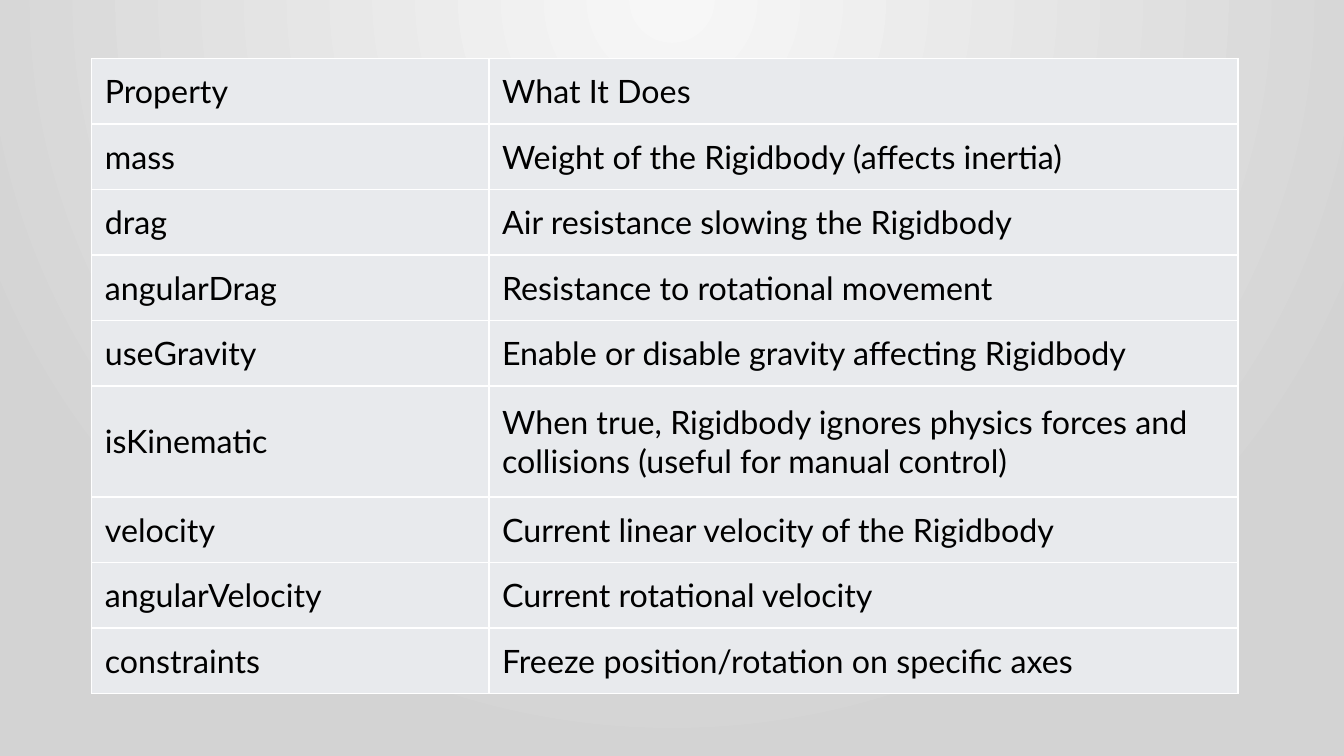
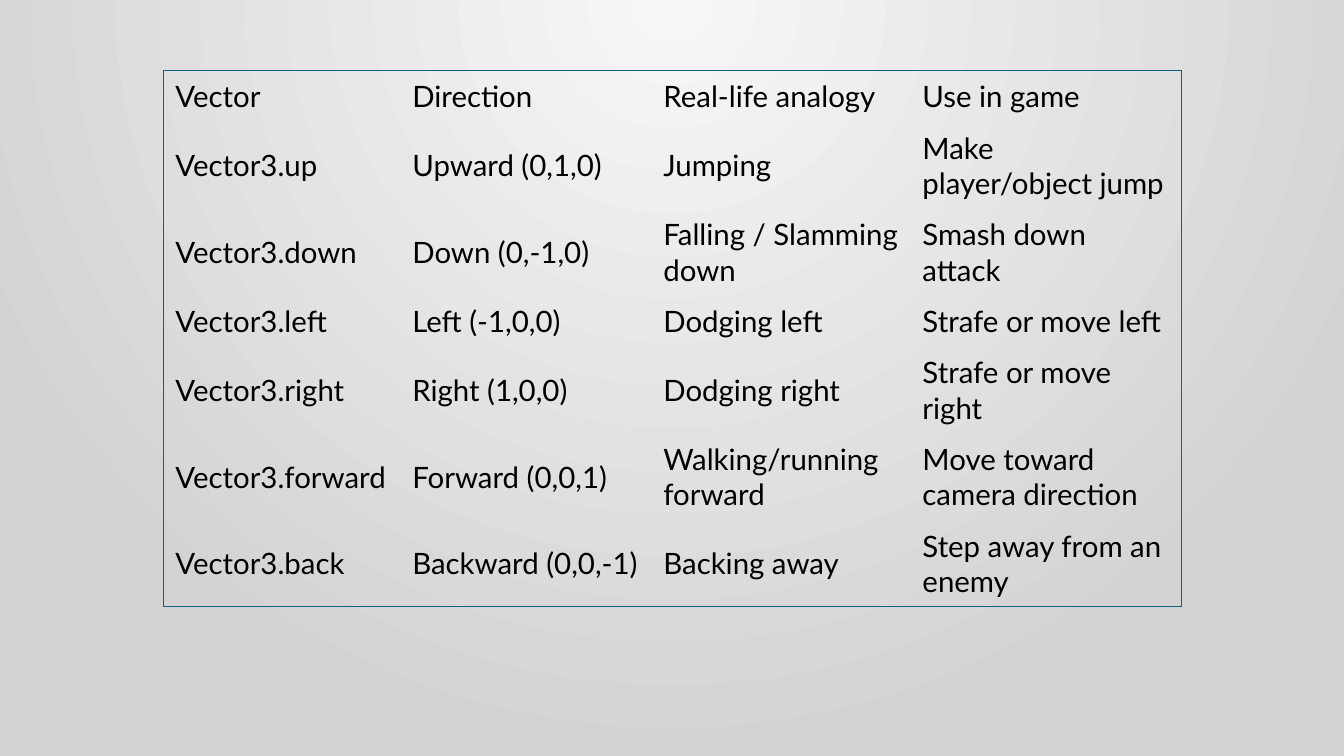
from dataclasses import dataclass

import lxml.etree
import pptx
import pptx.dml.color
import pptx.enum.text
import pptx.oxml.ns
import pptx.presentation
import pptx.slide
import pptx.table
import pptx.util

Inches = pptx.util.Inches
Pt = pptx.util.Pt
qn = pptx.oxml.ns.qn


@dataclass(frozen=True)
class Theme:
    font: str = "Lato"
    text: str = "000000"
    glow: str = "F7F7F7"
    edge: str = "D3D3D3"
    cell: str = "E8EAED"
    grid: str = "FFFFFF"
    frame: str = "156082"
    property_size: float = 23
    vector_size: float = 21
    line_width: float = 1


THEME = Theme()


@dataclass(frozen=True)
class TableSpec:
    left: float
    top: float
    columns: tuple[float, ...]
    heights: tuple[float, ...]
    rows: tuple[tuple[str, ...], ...]
    size: float
    side_margin: float
    border: str
    inner_lines: bool
    fill: str | None = None


PROPERTIES = TableSpec(
    left=0.91, top=0.58, columns=(3.94, 7.43),
    heights=(0.65,) * 5 + (1.1,) + (0.65,) * 3,
    rows=(
        ("Property", "What It Does"),
        ("mass", "Weight of the Rigidbody (affects inertia)"),
        ("drag", "Air resistance slowing the Rigidbody"),
        ("angularDrag", "Resistance to rotational movement"),
        ("useGravity", "Enable or disable gravity affecting Rigidbody"),
        ("isKinematic", "When true, Rigidbody ignores physics forces and "
                        "collisions (useful for manual control)"),
        ("velocity", "Current linear velocity of the Rigidbody"),
        ("angularVelocity", "Current rotational velocity"),
        ("constraints", "Freeze position/rotation on specific axes"),
    ),
    size=THEME.property_size, side_margin=0.13,
    border=THEME.grid, inner_lines=True, fill=THEME.cell,
)

VECTORS = TableSpec(
    left=1.62, top=0.7, columns=(2.35, 2.49, 2.57, 2.69),
    heights=(0.51, 0.86, 0.86, 0.51, 0.86, 0.86, 0.86),
    rows=(
        ("Vector", "Direction", "Real-life analogy", "Use in game"),
        ("Vector3.up", "Upward (0,1,0)", "Jumping", "Make player/object jump"),
        ("Vector3.down", "Down (0,-1,0)", "Falling / Slamming down", "Smash down attack"),
        ("Vector3.left", "Left (-1,0,0)", "Dodging left", "Strafe or move left"),
        ("Vector3.right", "Right (1,0,0)", "Dodging right", "Strafe or move right"),
        ("Vector3.forward", "Forward (0,0,1)", "Walking/running forward",
         "Move toward camera direction"),
        ("Vector3.back", "Backward (0,0,-1)", "Backing away", "Step away from an enemy"),
    ),
    size=THEME.vector_size, side_margin=0.12,
    border=THEME.frame, inner_lines=False,
)


def rgb(value: str) -> pptx.dml.color.RGBColor:
    return pptx.dml.color.RGBColor.from_string(value)


def set_background(deck: pptx.presentation.Presentation) -> None:
    """Give the master a circular gradient centred on the top edge."""
    master = deck.slide_master
    fill = master.background.fill
    fill.gradient()
    for stop, position, color in zip(fill.gradient_stops, (0, 1), (THEME.glow, THEME.edge)):
        stop.position = position
        stop.color.rgb = rgb(color)
    gradient = master.element.find(".//" + qn("a:gradFill"))
    gradient.remove(gradient.find(qn("a:lin")))
    circle = lxml.etree.SubElement(gradient, qn("a:path"), path="circle")
    lxml.etree.SubElement(circle, qn("a:fillToRect"), l="43000", t="0", r="43000", b="100000")


def add_border(cell: pptx.table._Cell, side: str, color: str | None) -> None:
    """Draw one side of a cell, or hide it when there is no color."""
    properties = cell._tc.get_or_add_tcPr()
    line = lxml.etree.SubElement(properties, qn("a:ln" + side), w=str(Pt(THEME.line_width)))
    if color is None:
        lxml.etree.SubElement(line, qn("a:noFill"))
    else:
        solid = lxml.etree.SubElement(line, qn("a:solidFill"))
        lxml.etree.SubElement(solid, qn("a:srgbClr"), val=color)


def format_cell(cell: pptx.table._Cell, text: str, spec: TableSpec) -> None:
    cell.text = text
    cell.vertical_anchor = pptx.enum.text.MSO_ANCHOR.MIDDLE
    cell.margin_left = cell.margin_right = Inches(spec.side_margin)
    cell.margin_top = cell.margin_bottom = Inches(0.06)
    font = cell.text_frame.paragraphs[0].runs[0].font
    font.name = THEME.font
    font.size = Pt(spec.size)
    font.color.rgb = rgb(THEME.text)
    if spec.fill is None:
        cell.fill.background()
    else:
        cell.fill.solid()
        cell.fill.fore_color.rgb = rgb(spec.fill)


def add_table(page: pptx.slide.Slide, spec: TableSpec) -> None:
    last_row, last_column = len(spec.rows) - 1, len(spec.columns) - 1
    table = page.shapes.add_table(
        len(spec.rows), len(spec.columns), Inches(spec.left), Inches(spec.top),
        Inches(sum(spec.columns)), Inches(sum(spec.heights)),
    ).table
    table.first_row = table.horz_banding = False
    for column, width in zip(table.columns, spec.columns):
        column.width = Inches(width)
    for row, height in zip(table.rows, spec.heights):
        row.height = Inches(height)
    for r, texts in enumerate(spec.rows):
        for c, text in enumerate(texts):
            cell = table.cell(r, c)
            outer = {"L": c == 0, "R": c == last_column, "T": r == 0, "B": r == last_row}
            for side, is_outer in outer.items():
                add_border(cell, side, spec.border if is_outer or spec.inner_lines else None)
            format_cell(cell, text, spec)


def main() -> None:
    deck = pptx.Presentation()
    deck.slide_width, deck.slide_height = Inches(13.33), Inches(7.5)
    set_background(deck)
    blank = deck.slide_layouts.get_by_name("Blank")
    for spec in (PROPERTIES, VECTORS):
        add_table(deck.slides.add_slide(blank), spec)
    deck.save("out.pptx")


if __name__ == "__main__":
    main()
